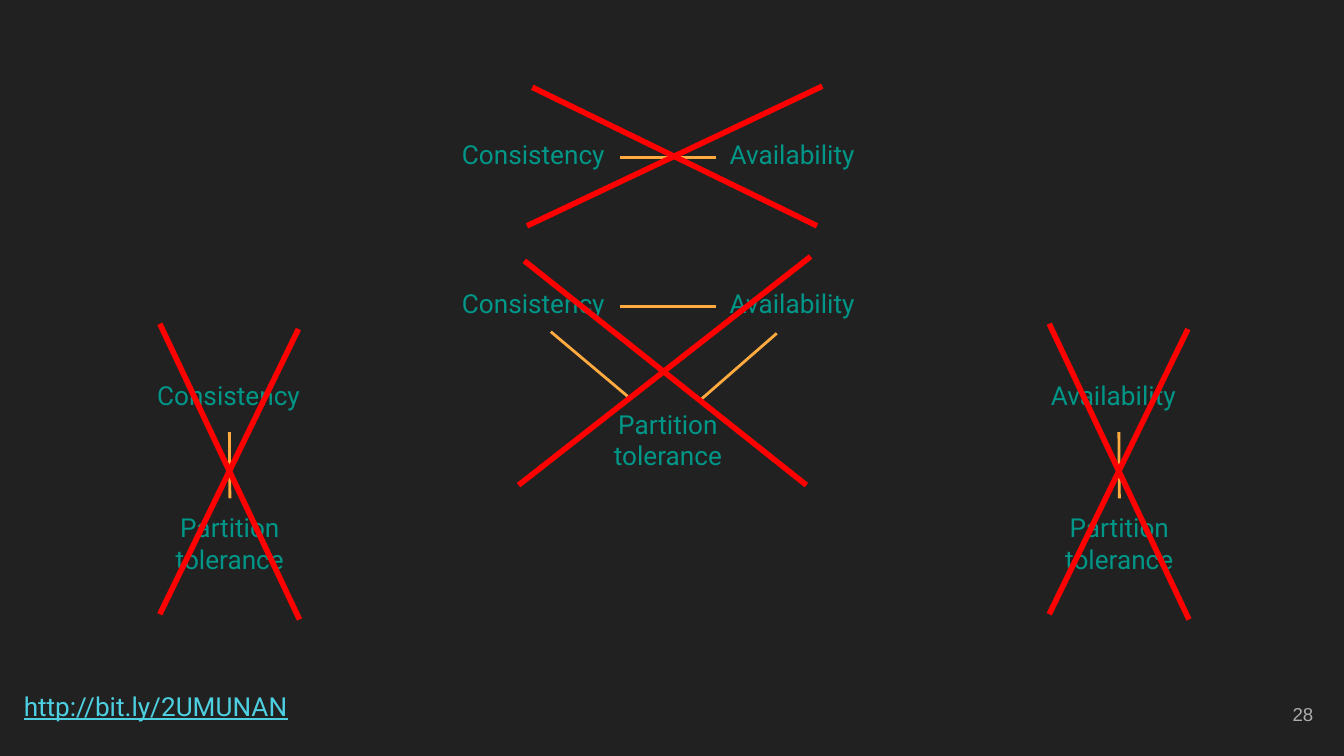
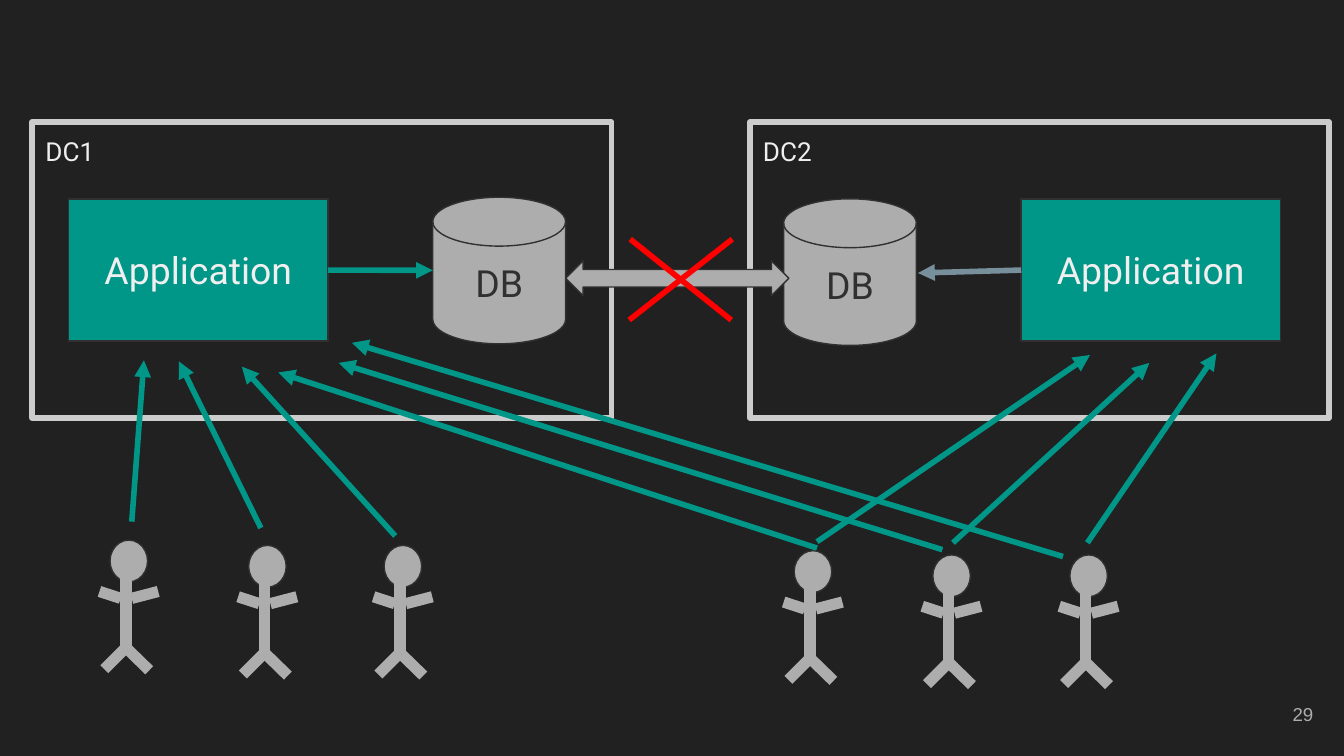
from dataclasses import dataclass

from lxml.etree import SubElement
from pptx import Presentation
from pptx.dml.color import RGBColor
from pptx.enum.shapes import MSO_CONNECTOR, MSO_SHAPE
from pptx.enum.text import MSO_ANCHOR as Anchor, PP_ALIGN as Align
from pptx.oxml.ns import qn
from pptx.util import Cm, Pt


@dataclass(frozen=True)
class Theme:
    background: str = "212121"
    teal: str = "009688"
    amber: str = "FFAB40"
    red: str = "FF0000"
    grey: str = "ADADAD"
    frame: str = "CCCCCC"
    outline: str = "303030"
    light: str = "EFEFEF"
    slate: str = "78909C"
    link: str = "4DD0E1"
    font: str = "Roboto"
    number_font: str = "Arial"
    number_size: int = 10
    label_size: int = 14
    shape_size: int = 20
    hairline: float = 0.75
    thin: float = 1.5
    thick: float = 3
    limb: float = 6


def rgb(value):
    return RGBColor.from_string(value)


class Deck:
    def __init__(self, theme):
        self.t = theme
        self.prs = Presentation()
        self.prs.slide_width, self.prs.slide_height = Cm(25.4), Cm(14.29)
        fill = self.prs.slide_master.background.fill
        fill.solid()
        fill.fore_color.rgb = rgb(theme.background)

    def slide(self, number):
        self.s = self.prs.slides.add_slide(self.prs.slide_layouts[6])
        self.text(str(number), 23.55, 12.95, 1.52, 1.09, self.t.grey, self.t.number_size,
                  Align.RIGHT, Anchor.MIDDLE, self.t.number_font)

    def set_text(self, sp, text, color, size, align, anchor, font):
        tf = sp.text_frame
        tf.word_wrap = True
        tf.vertical_anchor = anchor
        tf.margin_left = tf.margin_right = tf.margin_top = tf.margin_bottom = Cm(0.25)
        p = tf.paragraphs[0]
        p.text = text
        p.alignment = align
        p.font.name = font
        p.font.size = Pt(size)
        p.font.color.rgb = rgb(color)
        return p

    def text(self, text, x, y, w, h, color, size=None, align=Align.LEFT,
             anchor=Anchor.TOP, font=None, underline=False):
        sp = self.s.shapes.add_textbox(Cm(x), Cm(y), Cm(w), Cm(h))
        p = self.set_text(sp, text, color, size or self.t.label_size, align, anchor,
                          font or self.t.font)
        if underline:
            p.font.underline = True
        return sp

    def shape(self, kind, x, y, w, h, fill=None, line=None, width=None,
              text=None, color=None):
        sp = self.s.shapes.add_shape(kind, Cm(x), Cm(y), Cm(w), Cm(h))
        sp.shadow.inherit = False
        if fill:
            sp.fill.solid()
            sp.fill.fore_color.rgb = rgb(fill)
        else:
            sp.fill.background()
        sp.line.color.rgb = rgb(line or self.t.outline)
        sp.line.width = Pt(width or self.t.hairline)
        if text:
            self.set_text(sp, text, color, self.t.shape_size, Align.CENTER,
                          Anchor.MIDDLE, self.t.font)
        return sp

    def line(self, x1, y1, x2, y2, color, width, arrow=False, begin=None, end=None):
        c = self.s.shapes.add_connector(MSO_CONNECTOR.STRAIGHT,
                                        Cm(x1), Cm(y1), Cm(x2), Cm(y2))
        if begin:
            c.begin_connect(*begin)
        if end:
            c.end_connect(*end)
        c.line.color.rgb = rgb(color)
        c.line.width = Pt(width)
        sp_pr = c._element.spPr
        if arrow:
            SubElement(sp_pr.find(qn("a:ln")), qn("a:tailEnd"), type="triangle")
        SubElement(sp_pr, qn("a:effectLst"))

    def cross(self, *strokes, dx=0):
        for x1, y1, x2, y2 in strokes:
            self.line(x1 + dx, y1, x2 + dx, y2, self.t.red, self.t.thick)

    def arrow(self, x1, y1, x2, y2, color=None, begin=None):
        self.line(x1, y1, x2, y2, color or self.t.teal, self.t.thick, True, begin)

    def link(self, x1, y1, x2, y2, begin=None, end=None):
        self.line(x1, y1, x2, y2, self.t.amber, self.t.thin, begin=begin, end=end)

    def consistency(self, x, y):
        return self.text("Consistency", x, y, 3.23, 1.24, self.t.teal)

    def availability(self, x, y):
        return self.text("Availability", x, y, 3.07, 1.24, self.t.teal)

    def partition(self, x, y):
        return self.text("Partition tolerance", x, y, 3.71, 1.52, self.t.teal,
                         align=Align.CENTER)

    def row_pair(self, y):
        left = self.consistency(8.48, y)
        right = self.availability(13.54, y)
        self.link(13.54, y + 0.62, 11.71, y + 0.62, (right, 1), (left, 3))

    def column_pair(self, add_top, top_x, x):
        top = add_top(top_x, 6.93)
        bottom = self.partition(x, 9.42)
        self.link(x + 1.86, 8.17, x + 1.86, 9.42, (top, 2), (bottom, 0))

    def data_center(self, name, x):
        self.shape(MSO_SHAPE.RECTANGLE, x, 2.31, 10.95, 5.59,
                   line=self.t.frame, width=self.t.thick)
        self.text(name, x, 2.31, 3.02, 1.09, self.t.light)

    def database(self, x, y):
        self.shape(MSO_SHAPE.FLOWCHART_MAGNETIC_DISK, x, y, 2.51, 2.77,
                   self.t.grey, text="DB", color=self.t.outline)

    def application(self, x):
        return self.shape(MSO_SHAPE.RECTANGLE, x, 3.76, 4.9, 2.69,
                          self.t.teal, text="Application", color=self.t.light)

    def person(self, x, y):
        self.shape(MSO_SHAPE.OVAL, x, y, 0.71, 0.79, self.t.grey)
        for x1, y1, x2, y2 in ((0.3, 0.58, 0.3, 2.06),
                               (-0.2, 0.97, 0.2, 1.1),
                               (0.41, 1.1, 0.91, 0.97),
                               (0.3, 2.03, -0.11, 2.44),
                               (0.33, 2.06, 0.74, 2.46)):
            self.line(x + x1, y + y1, x + x2, y + y2, self.t.grey, self.t.limb)


def cap_slide(d):
    d.slide(28)
    d.row_pair(5.18)
    d.partition(10.77, 7.47)
    d.link(10.41, 6.27, 11.86, 7.49)
    d.link(14.68, 6.3, 13.26, 7.54)
    d.column_pair(d.consistency, 2.72, 2.49)
    d.row_pair(2.36)
    d.column_pair(d.availability, 19.61, 19.3)

    d.cross((9.91, 4.93, 15.24, 9.17), (15.32, 4.85, 9.8, 9.17))
    d.cross((10.06, 1.65, 15.44, 4.27), (15.54, 1.63, 9.96, 4.27))
    for dx in (0, 16.81):
        d.cross((5.64, 6.22, 3.02, 11.61), (5.66, 11.71, 3.02, 6.12), dx=dx)
    d.text("http://bit.ly/2UMUNAN", 0.2, 12.8, 8.28, 1.24, d.t.link, underline=True)


def data_center_slide(d):
    d.slide(29)
    d.data_center("DC2", 14.17)
    d.data_center("DC1", 0.61)
    d.database(8.18, 3.73)
    d.arrow(6.2, 5.11, 8.18, 5.11, begin=(d.application(1.3), 3))
    d.database(14.81, 3.76)
    d.arrow(19.3, 5.11, 17.35, 5.16, d.t.slate, (d.application(19.3), 1))
    d.shape(MSO_SHAPE.LEFT_RIGHT_ARROW, 10.69, 4.93, 4.22, 0.66, d.t.grey)
    d.cross((11.91, 4.52, 13.82, 6.05), (13.84, 4.52, 11.89, 6.05))

    for x, y in ((15.01, 10.41), (17.63, 10.49), (20.22, 10.49),
                 (2.08, 10.21), (4.7, 10.31), (7.26, 10.31)):
        d.person(x, y)

    local_requests = ((2.49, 9.86, 2.72, 6.81), (4.93, 9.98, 3.38, 6.83),
                      (7.47, 10.13, 4.57, 6.93), (15.44, 10.24, 20.6, 6.71),
                      (18.01, 10.26, 21.72, 6.86), (20.55, 10.26, 22.99, 6.68))
    remote_requests = ((15.44, 10.36, 5.26, 7.04), (17.81, 10.39, 6.4, 6.86),
                       (20.09, 10.52, 6.65, 6.48))
    for request in local_requests + remote_requests:
        d.arrow(*request)


def main():
    d = Deck(Theme())
    cap_slide(d)
    data_center_slide(d)
    d.prs.save("out.pptx")


if __name__ == "__main__":
    main()
